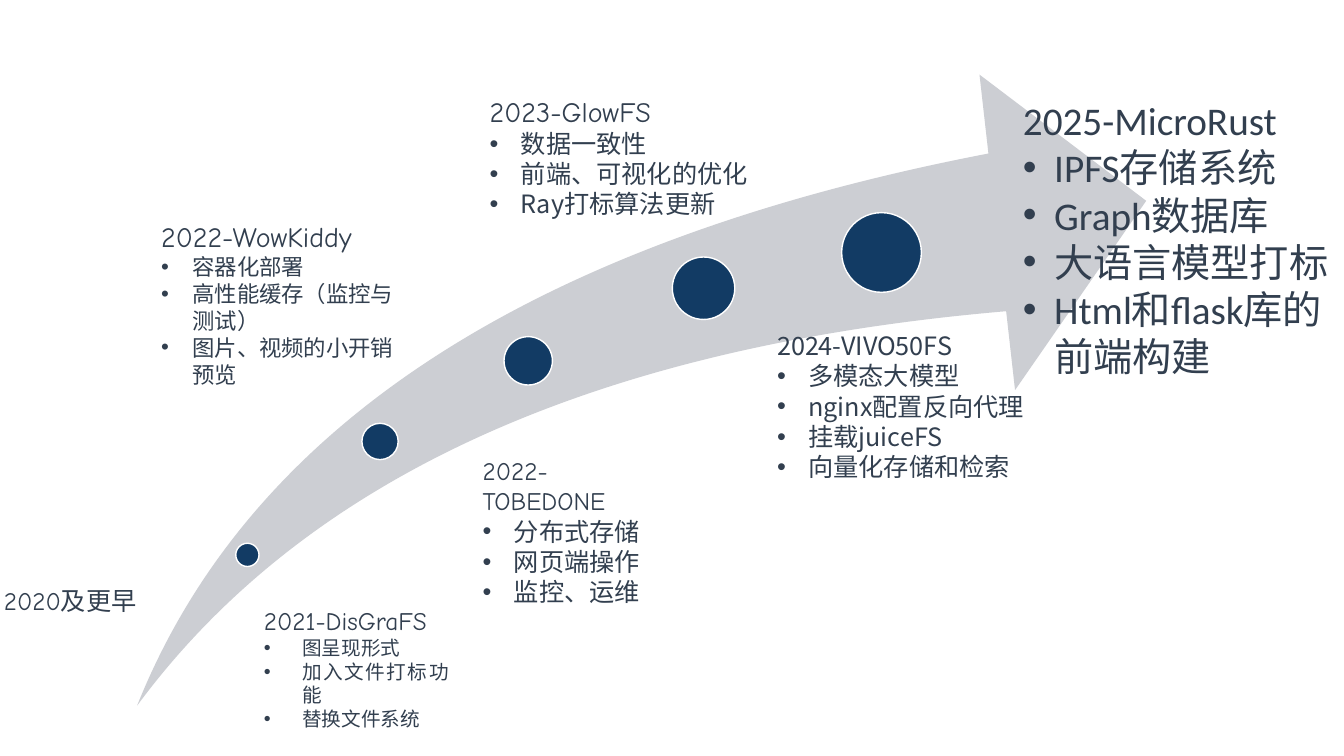
"""Build a one-slide timeline of projects along a rising arrow."""
import lxml.etree
import pptx
import pptx.dml.color
import pptx.enum.shapes
import pptx.enum.text
import pptx.oxml.ns
import pptx.util

SLIDE_WIDTH = pptx.util.Inches(13.33)
SLIDE_HEIGHT = pptx.util.Inches(7.5)
INK, NAVY, SILVER, WHITE = "323F4F", "123B64", "CCCED3", "FFFFFF"
COMIC, NOTO, CALIBRI = "Comic Neue", "Noto Sans CJK SC", "Calibri"

ARROW = (10.2, 9.87, 75.08, 83.47)
MILESTONES = [
    (18.41, 73.4, 1.73),
    (28.28, 58.4, 2.7),
    (39.3, 47.73, 3.6),
    (52.35, 38.13, 4.65),
    (65.59, 33.4, 5.93),
]
PROJECTS = [
    dict(area=(11.25, 28.4, 20.18, 11.33), heading=("2022-WowKiddy", COMIC, 20),
         items=["容器化部署", "高性能缓存（监控与测试）", "图片、视频的小开销预览"],
         item_font=(NOTO, 16)),
    dict(area=(18.9, 79.47, 15.23, 11.33), heading=("2021-DisGraFS", COMIC, 18),
         items=["图呈现形式", "加入文件打标功能", "替换文件系统"],
         item_font=(NOTO, 14), indent=0.38, justified=True),
    dict(area=(35.18, 59.6, 13.2, 7.73), heading=("2022-TOBEDONE", COMIC, 18),
         items=["分布式存储", "网页端操作", "监控、运维"],
         item_font=(NOTO, 18), wrap=False),
    dict(area=(-0.45, 76.8, 13.88, 5.33), heading=("2020及更早", COMIC, 18), grow=True),
    dict(area=(35.7, 11.87, 26.33, 16.53), heading=("2023-GlowFS", COMIC, 20),
         items=["数据一致性", "前端、可视化的优化", "Ray打标算法更新"],
         item_font=(NOTO, 18), wrap=False),
    dict(area=(57.08, 43.07, 30, 20.4), heading=("2024-VIVO50FS", NOTO, 18),
         items=["多模态大模型", "nginx配置反向代理", "挂载juiceFS", "向量化存储和检索"],
         item_font=(NOTO, 18), wrap=False),
    dict(area=(75.38, 12.13, 24.75, 47.07), heading=("2025-MicroRust", CALIBRI, 28),
         items=["IPFS存储系统", "Graph数据库", "大语言模型打标", "Html和flask库的前端构建"],
         item_font=(CALIBRI, 28), grow=True),
]


def across(percent):
    """Return a share of the slide's width."""
    return round(SLIDE_WIDTH * percent / 100)


def down(percent):
    """Return a share of the slide's height."""
    return round(SLIDE_HEIGHT * percent / 100)


def place(area):
    """Turn left, top, width and height shares into lengths."""
    left, top, width, height = area
    return across(left), down(top), across(width), down(height)


def set_color(color_format, hex_color):
    """Apply a hex colour to a fill, line or font colour."""
    color_format.rgb = pptx.dml.color.RGBColor.from_string(hex_color)


def fill_shape(shape, hex_color):
    """Give a shape a flat fill without a shadow."""
    shape.shadow.inherit = False
    shape.fill.solid()
    set_color(shape.fill.fore_color, hex_color)


def add_arrow(shapes):
    """Add the rising swoosh arrow."""
    arrow = shapes.add_shape(pptx.enum.shapes.MSO_SHAPE.SWOOSH_ARROW, *place(ARROW))
    arrow.adjustments[0] = arrow.adjustments[1] = 0.25
    fill_shape(arrow, SILVER)
    arrow.line.fill.background()


def add_milestone(shapes, center_x, center_y, diameter):
    """Add a white-rimmed dot around a centre."""
    size = across(diameter)
    dot = shapes.add_shape(pptx.enum.shapes.MSO_SHAPE.OVAL, across(center_x) - size // 2,
                           down(center_y) - size // 2, size, size)
    fill_shape(dot, NAVY)
    set_color(dot.line.color, WHITE)
    dot.line.width = pptx.util.Pt(1)


def add_properties_element(paragraph, tag, **attributes):
    """Append an element to a paragraph's properties."""
    properties = paragraph._p.get_or_add_pPr()
    return lxml.etree.SubElement(properties, pptx.oxml.ns.qn(tag), attributes)


def make_bullet(paragraph, indent, justified):
    """Give a paragraph a hanging bullet and, if justified, a tab stop."""
    offset = pptx.util.Inches(indent)
    properties = paragraph._p.get_or_add_pPr()
    properties.set("marL", str(offset))
    properties.set("indent", str(-offset))
    add_properties_element(paragraph, "a:buFont", typeface="Arial")
    add_properties_element(paragraph, "a:buChar", char="•")
    if justified:
        paragraph.alignment = pptx.enum.text.PP_ALIGN.JUSTIFY
        tabs = add_properties_element(paragraph, "a:tabLst")
        lxml.etree.SubElement(tabs, pptx.oxml.ns.qn("a:tab"),
                              pos=str(pptx.util.Inches(0.5)), algn="l")


def write(paragraph, text, font_name, size):
    """Fill a paragraph with text in the ink colour."""
    paragraph.text = text
    paragraph.font.name = font_name
    paragraph.font.size = pptx.util.Pt(size)
    set_color(paragraph.font.color, INK)


def add_project(shapes, area, heading, items=(), item_font=None, indent=0.31,
                justified=False, wrap=True, grow=False):
    """Add a project's heading with its bulleted features."""
    frame = shapes.add_textbox(*place(area)).text_frame
    frame.word_wrap = wrap
    if grow:
        frame.auto_size = pptx.enum.text.MSO_AUTO_SIZE.SHAPE_TO_FIT_TEXT
    write(frame.paragraphs[0], *heading)
    for item in items:
        paragraph = frame.add_paragraph()
        make_bullet(paragraph, indent, justified)
        write(paragraph, item, *item_font)


def main():
    """Build and save the presentation."""
    presentation = pptx.Presentation()
    presentation.slide_width = SLIDE_WIDTH
    presentation.slide_height = SLIDE_HEIGHT
    slide = presentation.slides.add_slide(presentation.slide_layouts[6])
    timeline = slide.shapes.add_group_shape()
    add_arrow(timeline.shapes)
    for milestone in MILESTONES:
        add_milestone(timeline.shapes, *milestone)
    for project in PROJECTS:
        add_project(slide.shapes, **project)
    presentation.save("out.pptx")


if __name__ == "__main__":
    main()
